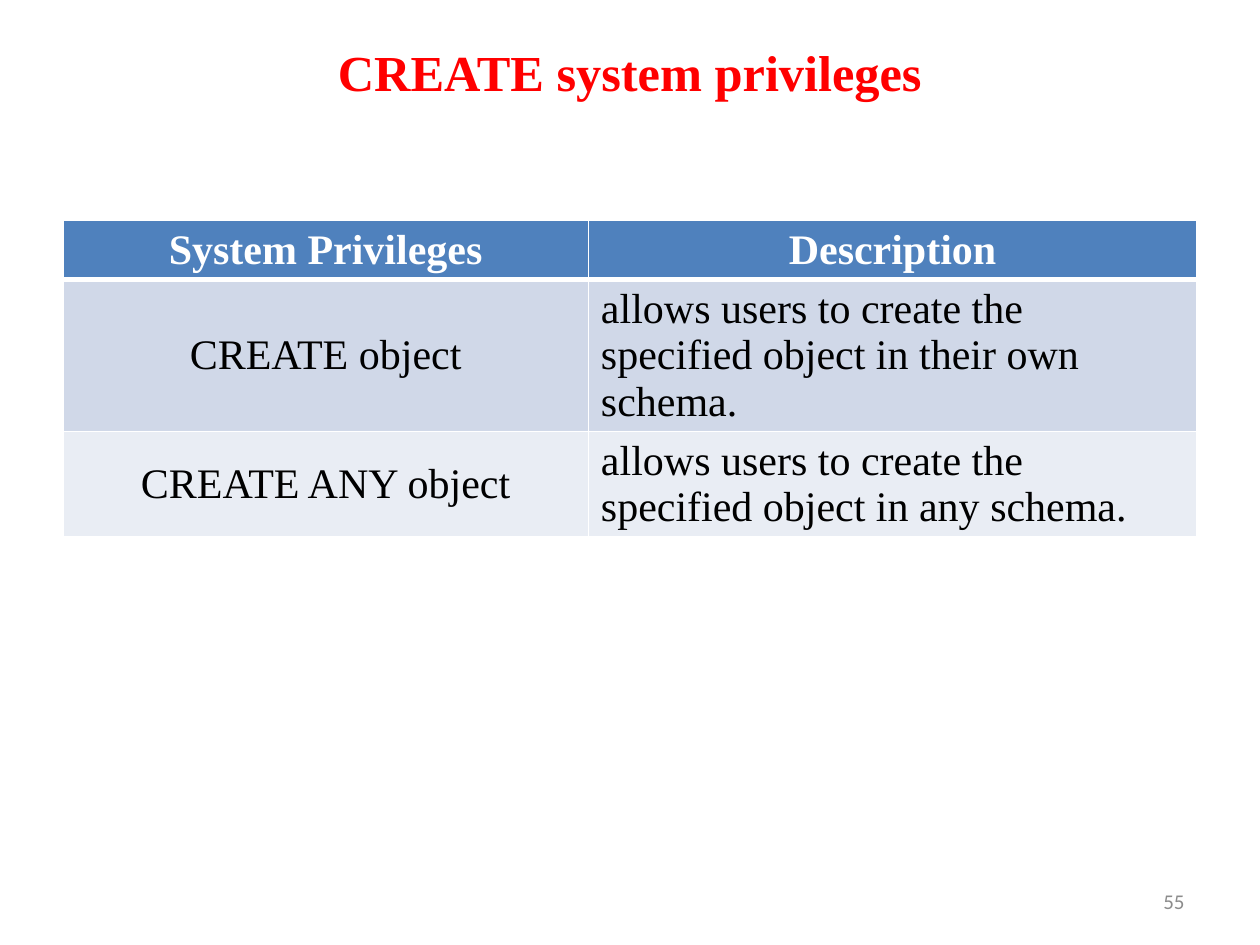
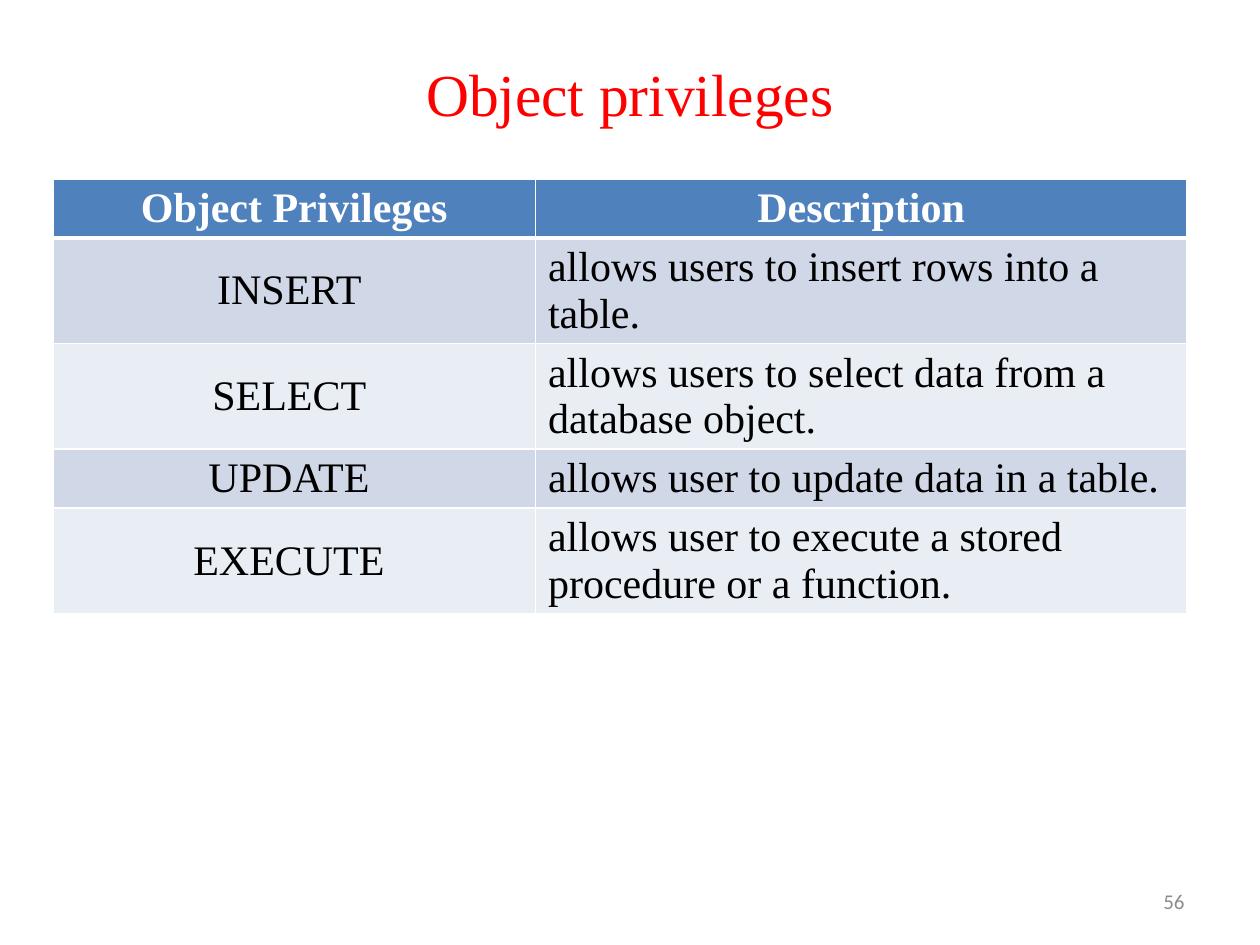
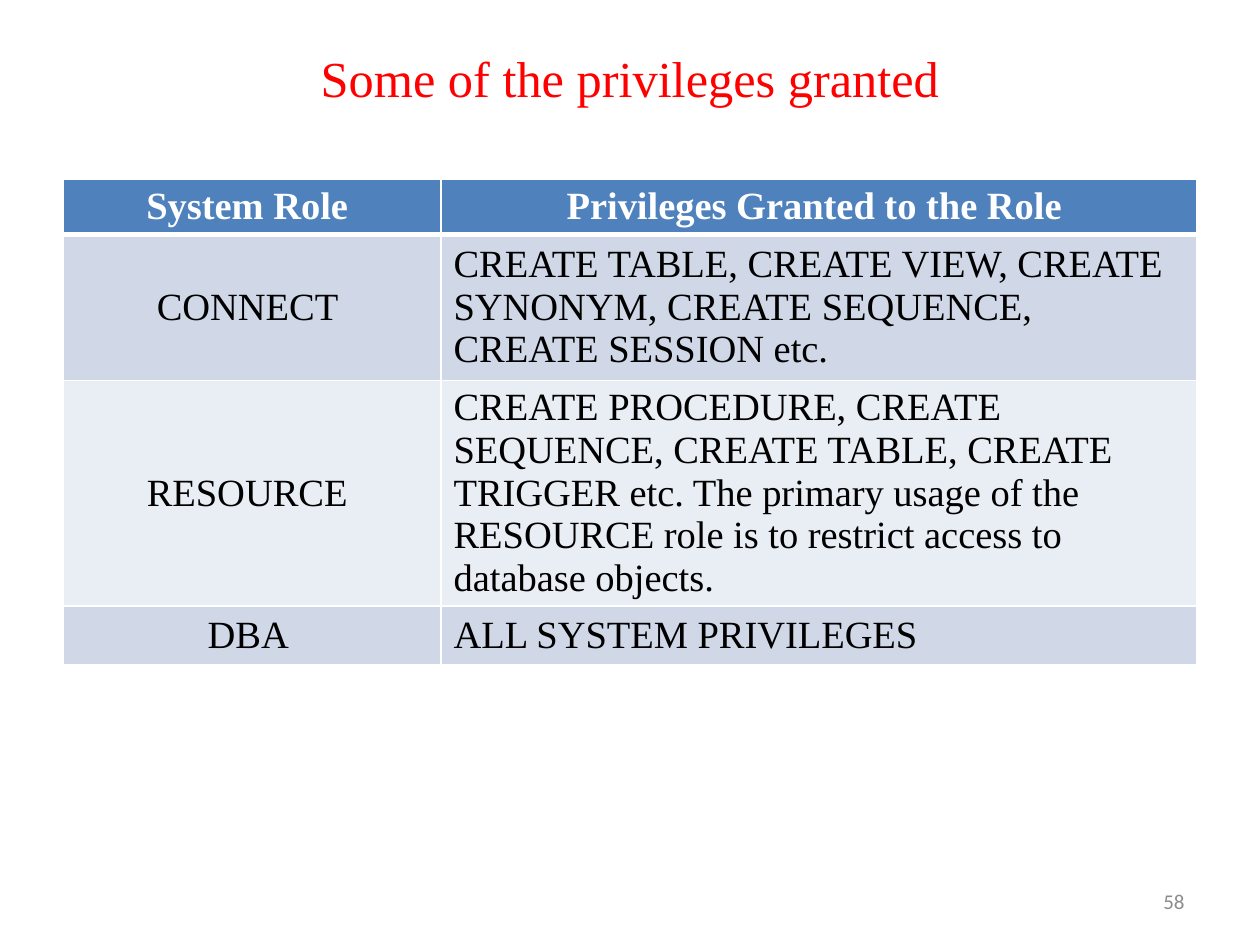
"""Build three slides of database privilege tables."""
import pptx
import pptx.dml.color
import pptx.enum.text
import pptx.oxml
import pptx.oxml.ns
import pptx.util

Inches = pptx.util.Inches
Align = pptx.enum.text.PP_ALIGN
Middle = pptx.enum.text.MSO_ANCHOR.MIDDLE

COLORS = {
    "title": "FF0000",
    "header": "4F81BD",
    "odd row": "D0D8E8",
    "even row": "E9EDF4",
    "light": "FFFFFF",
    "dark": "000000",
    "number": "8C8C8C",
}
SERIF = "Times New Roman"

PAGES = [
    {
        "title": "CREATE system privileges", "title_size": 28.8, "title_bold": True,
        "title_height": 0.53, "number": "55", "left": 0.5, "top": 1.75, "size": 24,
        "columns": [4.17, 4.83], "heights": [0.41] * 3,
        "rows": [
            ("System Privileges", "Description"),
            ("CREATE object", "allows users to create the specified object in their own schema."),
            ("CREATE ANY object", "allows users to create the specified object in any schema."),
        ],
    },
    {
        "title": "Object privileges", "title_size": 34, "title_bold": False,
        "title_height": 0.87, "number": "56", "left": 0.42, "top": 1.42, "size": 24,
        "columns": [3.83, 5.17], "heights": [0.41] * 5,
        "rows": [
            ("Object Privileges", "Description"),
            ("INSERT ", "allows users to insert rows into a table."),
            ("SELECT ", "allows users to select data from a database object."),
            ("UPDATE ", "allows user to update data in a table."),
            ("EXECUTE ", "allows user to execute a stored procedure or a function."),
        ],
    },
    {
        "title": "Some of the privileges granted", "title_size": 28.8, "title_bold": False,
        "title_height": 0.62, "number": "58", "left": 0.5, "top": 1.42, "size": 22,
        "columns": [3, 6], "heights": [0.3, 1.16, 1.51, 0.47],
        "rows": [
            ("System Role ", "Privileges Granted to the Role "),
            ("CONNECT ", "CREATE TABLE, CREATE VIEW, CREATE SYNONYM, "
                         "CREATE SEQUENCE, CREATE SESSION etc."),
            ("RESOURCE ", "CREATE PROCEDURE, CREATE SEQUENCE, CREATE TABLE, "
                          "CREATE TRIGGER etc. The primary usage of the RESOURCE role "
                          "is to restrict access to database objects. "),
            ("DBA ", "ALL SYSTEM PRIVILEGES"),
        ],
    },
]


def write(frame, text, size, color, font=SERIF, bold=False, align=Align.CENTER):
    frame.word_wrap = True
    para = frame.paragraphs[0]
    para.alignment = align
    span = para.add_run()
    span.text = text
    span.font.size = pptx.util.Pt(size)
    span.font.name = font
    span.font.bold = bold
    span.font.color.rgb = pptx.dml.color.RGBColor.from_string(COLORS[color])


def add_borders(cell, **widths):
    properties = cell._tc.get_or_add_tcPr()
    for side, width in widths.items():
        properties.append(pptx.oxml.parse_xml(
            f'<a:ln{side} {pptx.oxml.ns.nsdecls("a")} w="{pptx.util.Pt(width)}">'
            f'<a:solidFill><a:srgbClr val="{COLORS["light"]}"/></a:solidFill></a:ln{side}>'))


deck = pptx.Presentation()
deck.slide_width, deck.slide_height = Inches(10), Inches(7.5)

for content in PAGES:
    page = deck.slides.add_slide(deck.slide_layouts[5])

    title = page.shapes.title
    title.left, title.top = Inches(0.5), Inches(0.3)
    title.width, title.height = Inches(9), Inches(content["title_height"])
    title.text_frame.vertical_anchor = Middle
    title.text_frame.auto_size = pptx.enum.text.MSO_AUTO_SIZE.NONE
    write(title.text_frame, content["title"], content["title_size"], "title",
          bold=content["title_bold"])

    table = page.shapes.add_table(
        len(content["rows"]), 2, Inches(content["left"]), Inches(content["top"]),
        Inches(9), Inches(sum(content["heights"]))).table
    for column, width in zip(table.columns, content["columns"]):
        column.width = Inches(width)
    for index, texts in enumerate(content["rows"]):
        table.rows[index].height = Inches(content["heights"][index])
        header = index == 0
        fill = "header" if header else "odd row" if index % 2 else "even row"
        for position, text in enumerate(texts):
            cell = table.cell(index, position)
            cell.vertical_anchor = Middle
            add_borders(cell, L=1, R=1, T=3 if index == 1 else 1, B=3 if header else 1)
            cell.fill.solid()
            cell.fill.fore_color.rgb = pptx.dml.color.RGBColor.from_string(COLORS[fill])
            centred = header or position == 0
            write(cell.text_frame, text, content["size"], "light" if header else "dark",
                  bold=header, align=Align.CENTER if centred else Align.LEFT)

    number = page.shapes.add_textbox(Inches(7.17), Inches(6.95), Inches(2.33), Inches(0.4))
    number.text_frame.vertical_anchor = Middle
    write(number.text_frame, content["number"], 12, "number", font="Calibri", align=Align.RIGHT)

deck.save("out.pptx")
